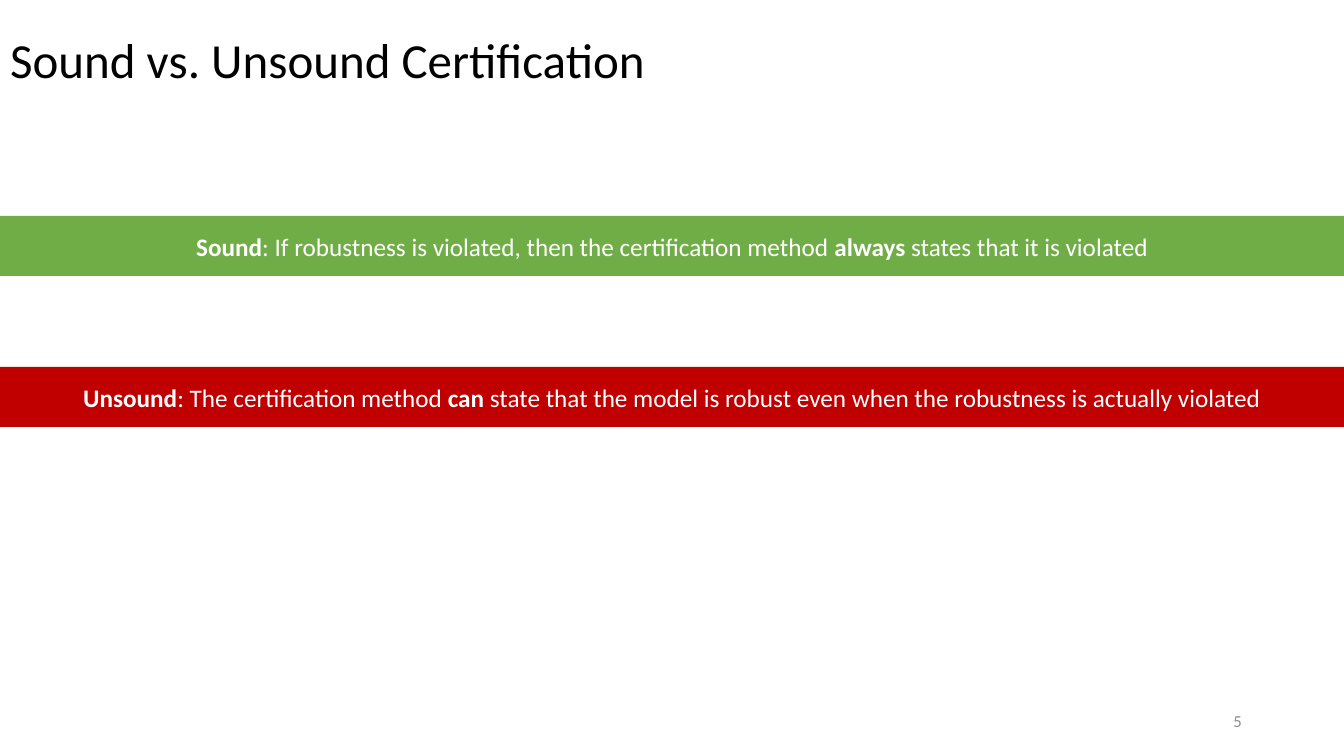
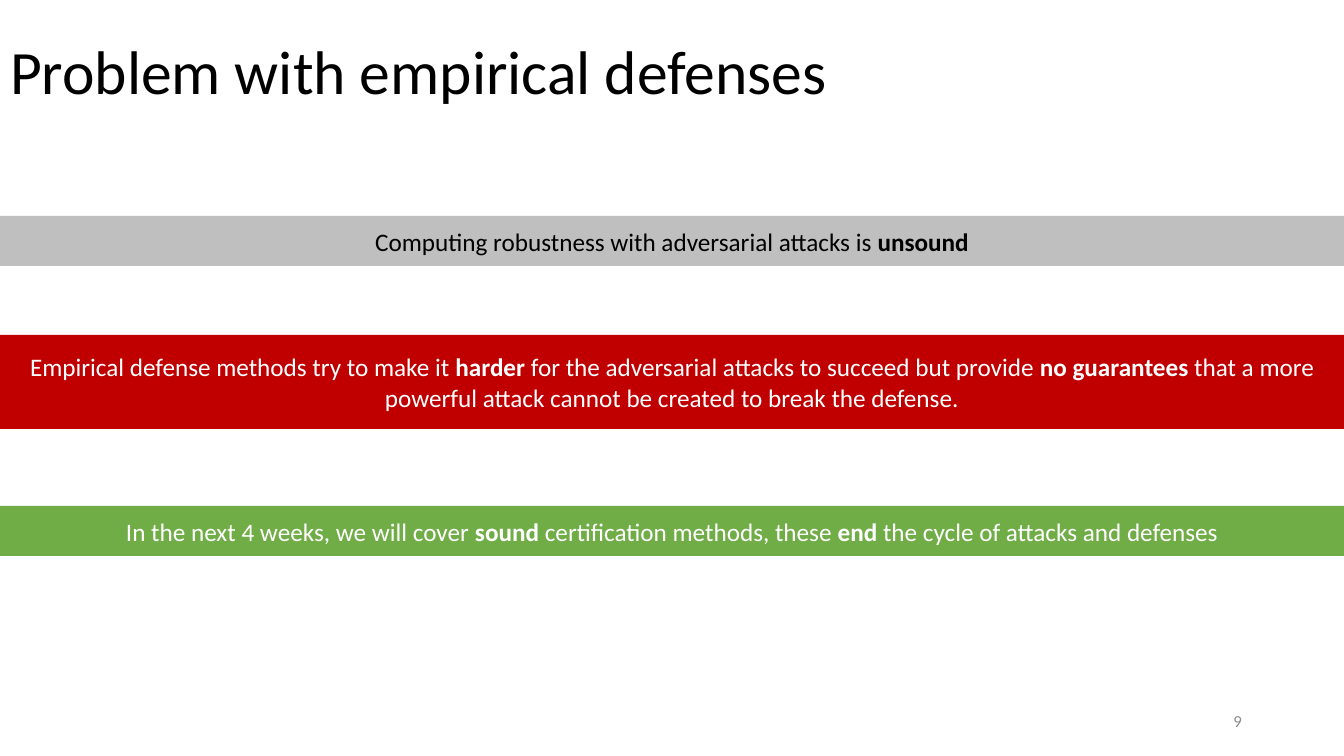
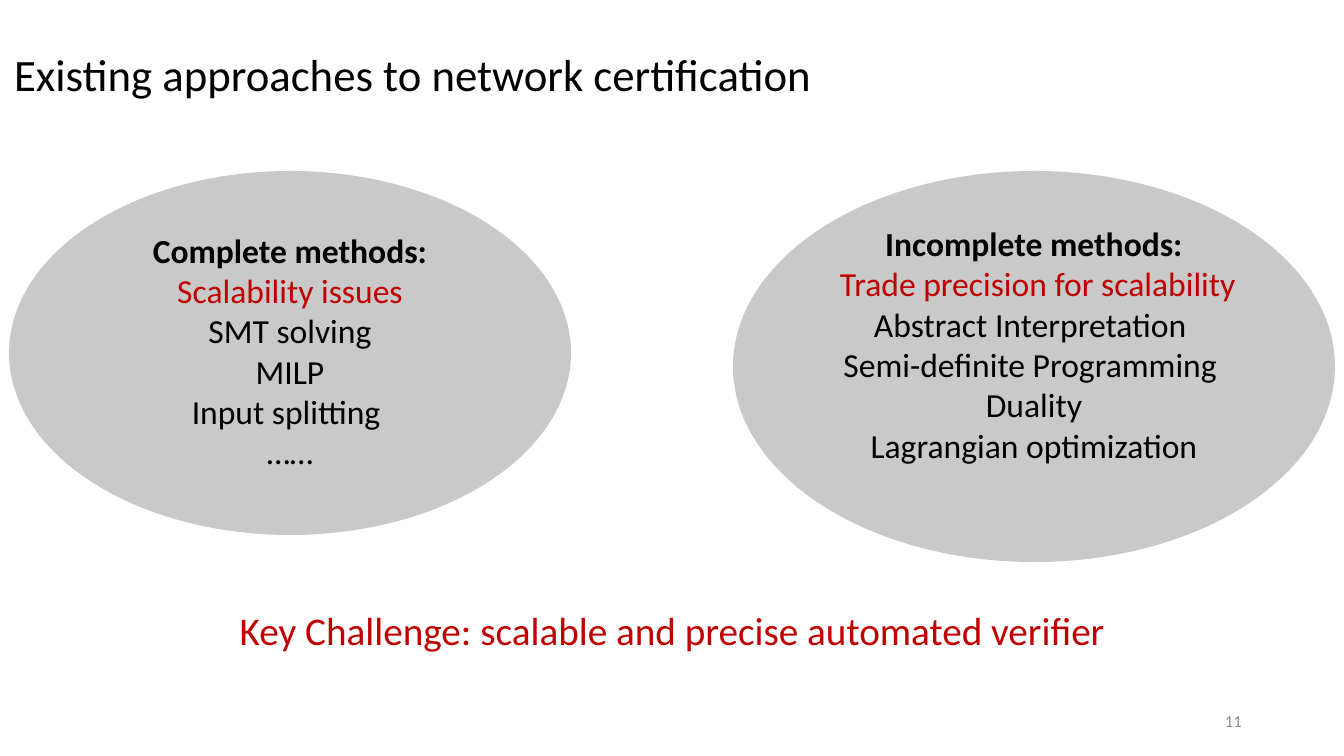
"""Build three slides on sound, unsound and existing certification methods."""
from dataclasses import dataclass

from pptx import Presentation
from pptx import util as u
from pptx.dml.color import RGBColor
from pptx.enum import shapes, text

PX = 914400 / 100.8
PAGE_WIDTH, PAGE_HEIGHT = 1344, 756
FONT = "Calibri"
INSET = 10
COLORS = {
    "black": "000000",
    "white": "FFFFFF",
    "green": "70AD47",
    "red": "C00000",
    "silver": "BFBFBF",
    "pale": "C9C9C9",
    "number": "8C8C8C",
}
ALIGN = text.PP_ALIGN
MIDDLE = text.MSO_ANCHOR.MIDDLE
TOP = text.MSO_ANCHOR.TOP


@dataclass(frozen=True)
class Rect:
    """A place on the page in px."""
    left: int
    top: int
    width: int
    height: int

    def emu(self) -> list[u.Emu]:
        """Return the four lengths in EMU."""
        return [px(n) for n in (self.left, self.top, self.width, self.height)]


@dataclass(frozen=True)
class Heading:
    """A slide title with its place and size."""
    words: str
    rect: Rect
    size: int


@dataclass(frozen=True)
class Band:
    """A full-width coloured statement."""
    words: str
    top: int
    height: int
    fill: str
    color: str = "white"


@dataclass(frozen=True)
class Family:
    """An ellipse listing one family of methods."""
    heading: str
    tradeoff: str
    methods: tuple[str, ...]
    rect: Rect
    bottom_inset: int = INSET


def px(length: int) -> u.Emu:
    """Turn px into EMU."""
    return u.Emu(round(length * PX))


def rgb(name: str) -> RGBColor:
    """Look up a named colour."""
    return RGBColor.from_string(COLORS[name])


def write(para, words: str, *, size: int, color: str = "black",
          align=ALIGN.CENTER, spacing: float = 1.0) -> None:
    """Write a paragraph in which asterisks enclose bold words."""
    para.alignment = align
    para.line_spacing = spacing
    for index, part in enumerate(words.split("*")):
        if part:
            span = para.add_run()
            span.text = part
            span.font.name = FONT
            span.font.size = u.Pt(size)
            span.font.bold = index % 2 == 1
            span.font.color.rgb = rgb(color)


def set_frame(box, anchor=MIDDLE):
    """Prepare a wrapped text frame and return it."""
    frame = box.text_frame
    frame.word_wrap = True
    frame.auto_size = text.MSO_AUTO_SIZE.NONE
    frame.vertical_anchor = anchor
    return frame


def add_filled(page, kind, rect: Rect, fill: str):
    """Add a plain filled shape and return its text frame."""
    shape = page.shapes.add_shape(kind, *rect.emu())
    shape.shadow.inherit = False
    shape.fill.solid()
    shape.fill.fore_color.rgb = rgb(fill)
    shape.line.fill.background()
    return set_frame(shape)


def add_text(page, words: str, rect: Rect, *, anchor=MIDDLE, **style) -> None:
    """Add a text box holding one paragraph."""
    frame = set_frame(page.shapes.add_textbox(*rect.emu()), anchor)
    write(frame.paragraphs[0], words, **style)


def add_page(deck, heading: Heading, number: int):
    """Add a page with its title and number."""
    page = deck.slides.add_slide(deck.slide_layouts[5])
    title = page.shapes.title
    title.left, title.top, title.width, title.height = heading.rect.emu()
    write(set_frame(title).paragraphs[0], heading.words, size=heading.size,
          align=ALIGN.LEFT, spacing=0.9)
    add_text(page, str(number), Rect(950, 701, 302, 40), size=12,
             color="number", align=ALIGN.RIGHT)
    return page


def add_band(page, band: Band) -> None:
    """Draw a statement across the page."""
    rect = Rect(0, band.top, PAGE_WIDTH, band.height)
    frame = add_filled(page, shapes.MSO_SHAPE.RECTANGLE, rect, band.fill)
    write(frame.paragraphs[0], band.words, size=18, color=band.color)


def add_family(page, family: Family) -> None:
    """Draw a family of methods in an ellipse."""
    frame = add_filled(page, shapes.MSO_SHAPE.OVAL, family.rect, "pale")
    frame.margin_bottom = px(family.bottom_inset)
    write(frame.paragraphs[0], f"*{family.heading}*", size=24)
    write(frame.add_paragraph(), family.tradeoff, size=24, color="red")
    for method in family.methods:
        write(frame.add_paragraph(), method, size=24)


BAND_PAGES = (
    (Heading("Sound vs. Unsound Certification", Rect(0, 0, 979, 126), 35), 5, (
        Band("*Sound*: If robustness is violated, then the certification method "
             "*always* states that it is violated", 216, 60, "green"),
        Band("*Unsound*: The certification method *can *state that the model is "
             "robust even when the robustness is actually violated",
             367, 60, "red"),
    )),
    (Heading("Problem with empirical defenses", Rect(0, 2, 1159, 146), 44), 9, (
        Band("Computing robustness with adversarial attacks is *unsound*",
             216, 50, "silver", "black"),
        Band("Empirical defense methods try to make it *harder* for the "
             "adversarial attacks to succeed but provide *no guarantees* that "
             "a more powerful attack cannot be created to break the defense.",
             335, 94, "red"),
        Band("In the next 4 weeks, we will cover *sound* certification methods, "
             "these *end* the cycle of attacks and defenses", 506, 50, "green"),
    )),
)
APPROACHES = Heading("Existing approaches to network certification",
                     Rect(4, 4, 1231, 146), 32)
FAMILIES = (
    Family("Complete methods:", "Scalability issues",
           ("SMT solving", "MILP", "Input splitting ", "……"),
           Rect(9, 171, 562, 364)),
    Family("Incomplete methods:", " Trade precision for scalability",
           ("Abstract Interpretation ", "Semi-definite Programming ",
            "Duality", "Lagrangian optimization"),
           Rect(733, 171, 602, 391), bottom_inset=50),
)


def main() -> None:
    """Build and save the deck."""
    deck = Presentation()
    deck.slide_width, deck.slide_height = px(PAGE_WIDTH), px(PAGE_HEIGHT)
    for heading, number, bands in BAND_PAGES:
        page = add_page(deck, heading, number)
        for band in bands:
            add_band(page, band)
    page = add_page(deck, APPROACHES, 11)
    add_text(page, "Key Challenge: scalable and precise automated verifier",
             Rect(0, 601, PAGE_WIDTH, 57), anchor=TOP, size=28, color="red")
    for family in FAMILIES:
        add_family(page, family)
    deck.save("out.pptx")


if __name__ == "__main__":
    main()
